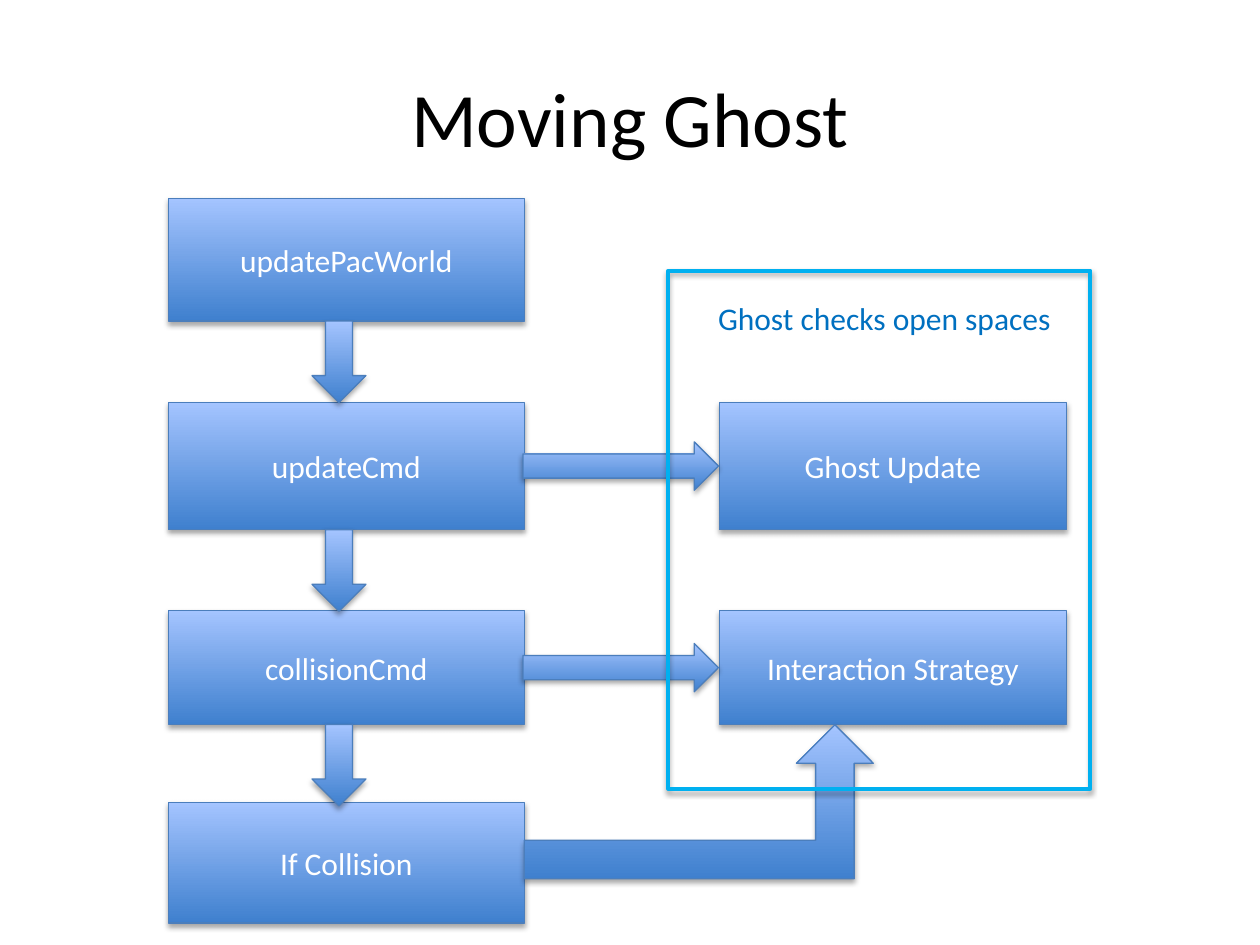
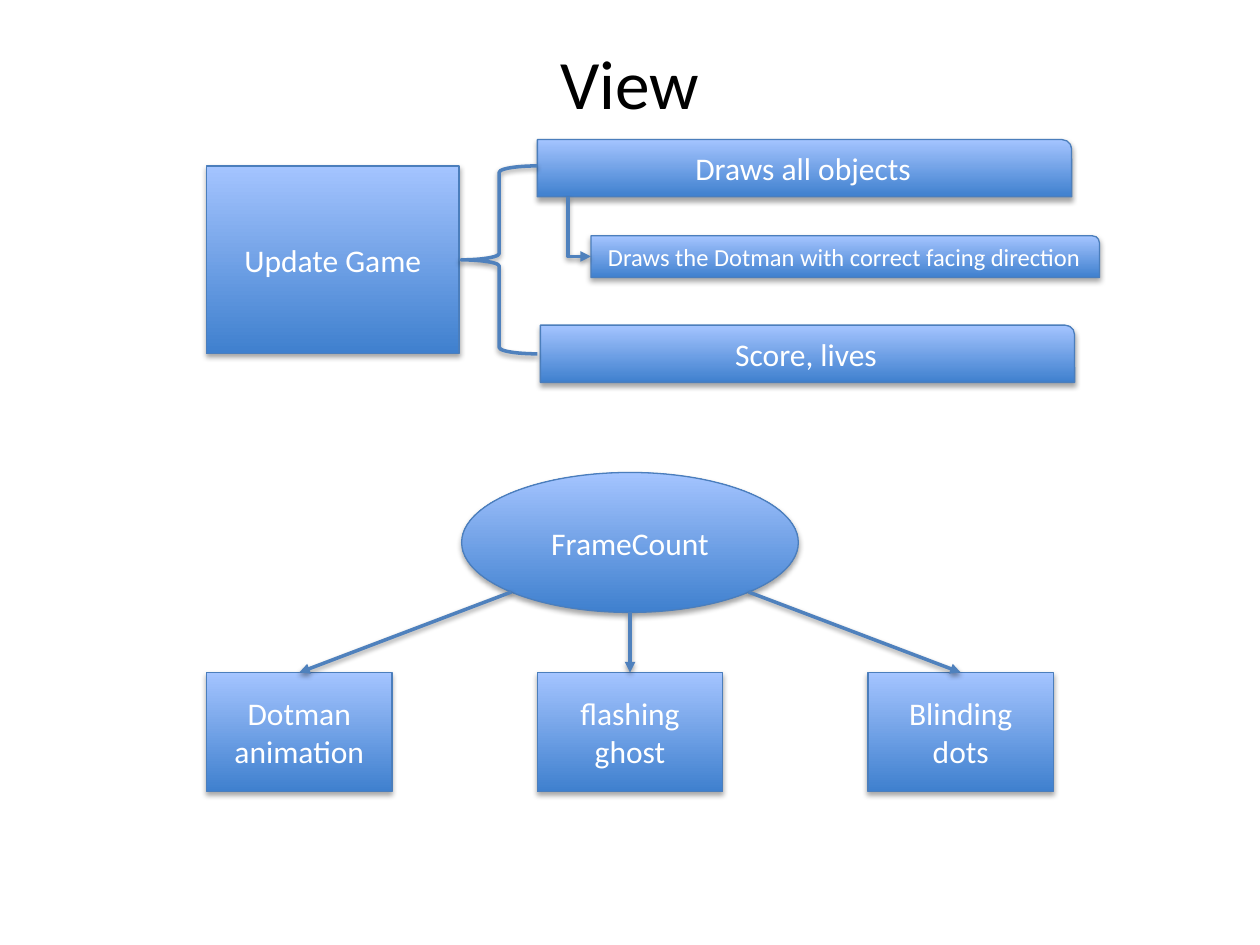
from dataclasses import dataclass

from lxml import etree
from pptx import Presentation
from pptx.dml.color import RGBColor
from pptx.enum.shapes import MSO_CONNECTOR, MSO_SHAPE
from pptx.enum.text import MSO_ANCHOR, PP_ALIGN
from pptx.oxml.ns import qn
from pptx.util import Pt

RECT, OVAL, TAB = MSO_SHAPE.RECTANGLE, MSO_SHAPE.OVAL, MSO_SHAPE.ROUND_1_RECTANGLE
DOWN, RIGHT, BENT_UP = MSO_SHAPE.DOWN_ARROW, MSO_SHAPE.RIGHT_ARROW, MSO_SHAPE.BENT_UP_ARROW
BRACE = MSO_SHAPE.LEFT_BRACE
STRAIGHT, ELBOW = MSO_CONNECTOR.STRAIGHT, MSO_CONNECTOR.ELBOW
CENTER, MIDDLE = PP_ALIGN.CENTER, MSO_ANCHOR.MIDDLE


@dataclass(frozen=True)
class Theme:
    font: str = "Calibri"
    black: RGBColor = RGBColor(0, 0, 0)
    white: RGBColor = RGBColor(255, 255, 255)
    dark: RGBColor = RGBColor(0x3F, 0x80, 0xCE)
    light: RGBColor = RGBColor(0xA4, 0xC4, 0xFF)
    edge: RGBColor = RGBColor(0x4B, 0x7E, 0xBC)
    link: RGBColor = RGBColor(0x4F, 0x81, 0xBD)
    frame: RGBColor = RGBColor(0x00, 0xB0, 0xF0)
    label: RGBColor = RGBColor(0x00, 0x70, 0xC0)
    body: float = 18
    small: float = 14


theme = Theme()


def outline(shape, color, width, opacity=35, distance=1.8):
    """Give a shape or connector its line and soft drop shadow."""
    shape.line.color.rgb = color
    shape.line.width = Pt(width)
    effects = etree.SubElement(shape.element.spPr, qn("a:effectLst"))
    shadow = etree.SubElement(effects, qn("a:outerShdw"), blurRad=str(Pt(3.1)),
                              dist=str(Pt(distance)), dir="5400000", rotWithShape="0")
    black = etree.SubElement(shadow, qn("a:srgbClr"), val="000000")
    etree.SubElement(black, qn("a:alpha"), val=str(opacity * 1000))


def add_block(page, kind, left, top, width, height, text="", size=theme.body):
    """Add a gradient shape, with a centred caption if there is one."""
    block = page.shapes.add_shape(kind, Pt(left), Pt(top), Pt(width), Pt(height))
    block.fill.gradient()
    block.fill.gradient_angle = 90
    for stop, color in zip(block.fill.gradient_stops, (theme.dark, theme.light)):
        stop.color.rgb = color
    outline(block, theme.edge, 0.75)
    if text:
        block.text_frame.text = text
        block.text_frame.vertical_anchor = MIDDLE
        para = block.text_frame.paragraphs[0]
        para.alignment = CENTER
        para.font.name, para.font.size = theme.font, Pt(size)
        para.font.color.rgb = theme.white


deck = Presentation()
deck.slide_width, deck.slide_height = Pt(720), Pt(540)

# Pages and titles
pages = []
for heading, height, size in (("Moving Ghost", 90, 44), ("View", 50.4, 39.6)):
    page = deck.slides.add_slide(deck.slide_layouts[5])
    title = page.shapes.title
    title.left, title.top, title.width, title.height = Pt(36), Pt(21.6), Pt(648), Pt(height)
    title.text_frame.text = heading
    title.text_frame.vertical_anchor = MIDDLE
    para = title.text_frame.paragraphs[0]
    para.alignment = CENTER
    para.font.name, para.font.size = theme.font, Pt(size)
    para.font.color.rgb = theme.black
    pages.append(page)
ghost_page, view_page = pages

# Moving Ghost: command column and the ghost's responses
steps = [
    ("updatePacWorld", 113.5, 70, ""),
    ("updateCmd", 230, 72.7, "Ghost Update"),
    ("collisionCmd", 349, 65, "Interaction Strategy"),
    ("If Collision", 458.5, 69, ""),
]
for command, top, height, response in steps:
    add_block(ghost_page, RECT, 96.3, top, 203.3, height, command)
    if response:
        add_block(ghost_page, RECT, 411, top, 198.5, height, response)

# Moving Ghost: block arrows
for command, top, height, response in steps:
    if command != steps[-1][0]:
        add_block(ghost_page, DOWN, 178.3, top + height, 30.8, 46.6)
    if response:
        add_block(ghost_page, RIGHT, 298.8, top + height / 2 - 13.8, 111.7, 27.6)
add_block(ghost_page, BENT_UP, 299.6, 414.2, 199.5, 88)

# Moving Ghost: frame and its label
frame = ghost_page.shapes.add_shape(RECT, Pt(381.8), Pt(154.7), Pt(241.3), Pt(296))
frame.fill.background()
outline(frame, theme.frame, 2.25)
label = ghost_page.shapes.add_textbox(Pt(403.2), Pt(167.2), Pt(206), Pt(29))
label.text_frame.word_wrap = True
label.text_frame.text = "Ghost checks open spaces"
para = label.text_frame.paragraphs[0]
para.font.name, para.font.size = theme.font, Pt(theme.body)
para.font.color.rgb = theme.label

# View: frame counter and what it drives
add_block(view_page, OVAL, 263.8, 270, 192.4, 80, "FrameCount")
for column, text in enumerate(("Dotman animation", "flashing ghost", "Blinding dots")):
    add_block(view_page, RECT, 118 + 189 * column, 384.3, 106, 68.2, text)

# View: game update and its drawing steps
add_block(view_page, RECT, 118, 94.8, 144.4, 107.4, "Update Game")
add_block(view_page, TAB, 307.1, 79.8, 305.3, 32.7, "Draws all objects")
add_block(view_page, TAB, 308.8, 185.8, 305.3, 32.7, "Score, lives")
add_block(view_page, TAB, 337.7, 134.8, 290.6, 23.8,
          "Draws the Dotman with correct facing direction", theme.small)
brace = view_page.shapes.add_shape(BRACE, Pt(263.5), Pt(94.8), Pt(43.6), Pt(107.4))
brace.fill.background()
outline(brace, theme.link, 2, 38, 1.6)

# View: arrows, the last one an elbow that is turned below
links = [
    (STRAIGHT, 292.2, 338.3, 171, 384.3),
    (STRAIGHT, 360, 350, 360, 384.3),
    (STRAIGHT, 427.8, 338.3, 549, 384.3),
    (ELBOW, 348.1, 123.1, 314.3, 136.2),
]
for kind, *ends in links:
    link = view_page.shapes.add_connector(kind, *map(Pt, ends))
    outline(link, theme.link, 2, 38, 1.6)
    etree.SubElement(link.line._get_or_add_ln(), qn("a:tailEnd"), type="triangle")
    if kind == ELBOW:
        properties = link.element.spPr
        properties.find(qn("a:xfrm")).set("rot", "16200000")
        properties.find(qn("a:prstGeom")).set("prst", "bentConnector2")

deck.save("out.pptx")
